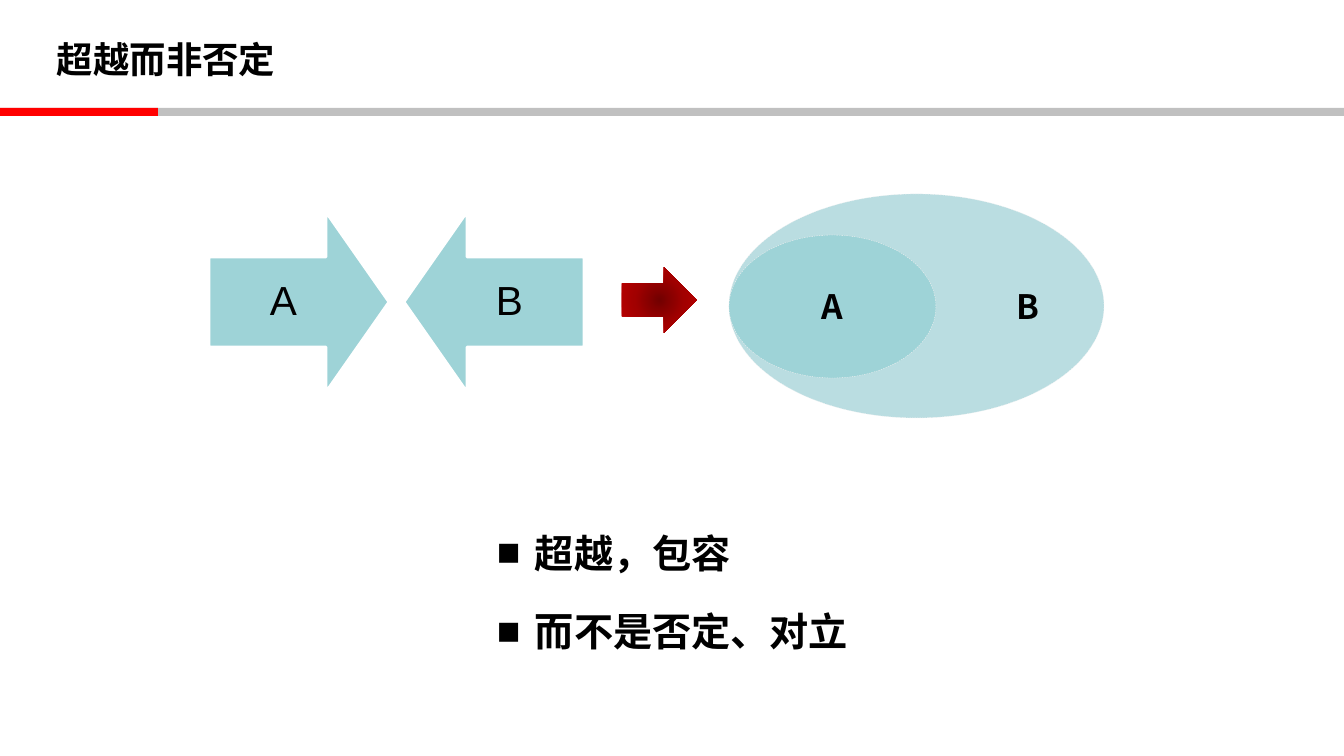
from lxml.etree import SubElement
from pptx import Presentation
from pptx.dml.color import RGBColor
from pptx.enum.dml import MSO_LINE
from pptx.enum.shapes import MSO_SHAPE
from pptx.enum.text import MSO_ANCHOR, PP_ALIGN
from pptx.oxml import parse_xml
from pptx.oxml.ns import nsdecls, qn
from pptx.util import Pt
from dataclasses import dataclass


@dataclass(frozen=True)
class Theme:
    ink: str = "000000"
    white: str = "FFFFFF"
    gray: str = "C0C0C0"
    red: str = "FF0000"
    teal: str = "9ED3D7"
    pale_teal: str = "BADDE1"
    outline: str = "F2F2F2"
    dark_reds: tuple = ((0, "720000"), (50, "A20000"), (100, "C00000"))
    sans: str = "Noto Sans CJK SC"
    latin: str = "Arial"
    title_size: int = 26
    list_size: int = 28
    arrow_size: int = 29
    ellipse_size: int = 24


theme = Theme()
SCALE = 914400 / 100.8


def px(*lengths):
    return [round(length * SCALE) for length in lengths]


def write(box, text, size, font=theme.sans, bold=True, align=PP_ALIGN.LEFT,
          anchor=MSO_ANCHOR.MIDDLE, inset=None, spacing=None, before=0, bullet=None):
    """Fill the box with one paragraph per line of text."""
    frame = box.text_frame
    frame.word_wrap = True
    frame.vertical_anchor = anchor
    if inset is not None:
        frame.margin_left, frame.margin_top, frame.margin_right, frame.margin_bottom = px(*[inset] * 4)
    for index, line in enumerate(text.split("\n")):
        para = frame.add_paragraph() if index else frame.paragraphs[0]
        para.alignment = align
        para.line_spacing = spacing
        if index:
            para.space_before = Pt(before)
        if bullet:
            properties = para._p.get_or_add_pPr()
            indent = px(38)[0]
            properties.set("marL", str(indent))
            properties.set("indent", str(-indent))
            SubElement(properties, qn("a:buFont"), typeface=theme.latin)
            SubElement(properties, qn("a:buChar"), char=bullet)
        span = para.add_run()
        span.text = line
        span.font.size = Pt(size)
        span.font.bold = bold
        span.font.color.rgb = RGBColor.from_string(theme.ink)
        span.font.name = font
        SubElement(span._r.get_or_add_rPr(), qn("a:ea"), typeface=font)


deck = Presentation()
deck.slide_width, deck.slide_height = px(1344, 756)
page = deck.slides.add_slide(deck.slide_layouts[6])
shapes = page.shapes

# Title and rule
for width, color in ((1344, theme.gray), (158, theme.red)):
    bar = shapes.add_shape(MSO_SHAPE.RECTANGLE, *px(0, 108, width, 8))
    bar.shadow.inherit = False
    bar.fill.solid()
    bar.fill.fore_color.rgb = RGBColor.from_string(color)
    bar.line.fill.background()
title = shapes.add_textbox(*px(47, 13, 974, 92))
write(title, "超越而非否定", theme.title_size)

# A contained in B
for label, bounds, color, align in (
    ("B", (729, 194, 375, 224), theme.pale_teal, PP_ALIGN.RIGHT),
    ("A", (729, 235, 207, 143), theme.teal, PP_ALIGN.CENTER),
):
    ellipse = shapes.add_shape(MSO_SHAPE.OVAL, *px(*bounds))
    ellipse.shadow.inherit = False
    ellipse.fill.solid()
    ellipse.fill.fore_color.rgb = RGBColor.from_string(color)
    ellipse.line.color.rgb = RGBColor.from_string(theme.outline)
    ellipse.line.width = Pt(0.25)
    ellipse.line.dash_style = MSO_LINE.DASH
    write(ellipse, label, theme.ellipse_size, align=align)

# Red arrow with a radial gradient
red_arrow = shapes.add_shape(MSO_SHAPE.RIGHT_ARROW, *px(622, 267, 75, 66))
red_arrow.shadow.inherit = False
red_arrow.line.fill.background()
stops = "".join(
    f'<a:gs pos="{position * 1000}"><a:srgbClr val="{color}"/></a:gs>'
    for position, color in theme.dark_reds
)
gradient = parse_xml(
    f'<a:gradFill {nsdecls("a")} rotWithShape="1"><a:gsLst>{stops}</a:gsLst>'
    '<a:path path="circle"><a:fillToRect l="50000" t="50000" r="50000" b="50000"/></a:path>'
    '</a:gradFill>'
)
red_arrow._element.spPr.find(qn("a:prstGeom")).addnext(gradient)

# A and B opposed
for label, arrow_left, label_left, rotation in (("A", 209, 209, 270), ("B", 404, 435, 90)):
    arrow = shapes.add_shape(MSO_SHAPE.DOWN_ARROW, *px(arrow_left, 212, 180, 180))
    arrow.shadow.inherit = False
    arrow.rotation = rotation
    arrow.adjustments[0] = 0.5
    arrow.adjustments[1] = 0.35
    arrow.fill.solid()
    arrow.fill.fore_color.rgb = RGBColor.from_string(theme.teal)
    arrow.line.color.rgb = RGBColor.from_string(theme.white)
    arrow.line.width = Pt(2)
    caption = shapes.add_textbox(*px(label_left, 257, 149, 91))
    write(caption, label, theme.arrow_size, font=theme.latin, bold=False,
          align=PP_ALIGN.CENTER, inset=23, spacing=0.9)

# Conclusions
conclusions = shapes.add_textbox(*px(487, 501, 574, 158))
write(conclusions, "超越，包容\n而不是否定、对立", theme.list_size,
      anchor=MSO_ANCHOR.TOP, spacing=Pt(50), before=6, bullet="■")

deck.save("out.pptx")
